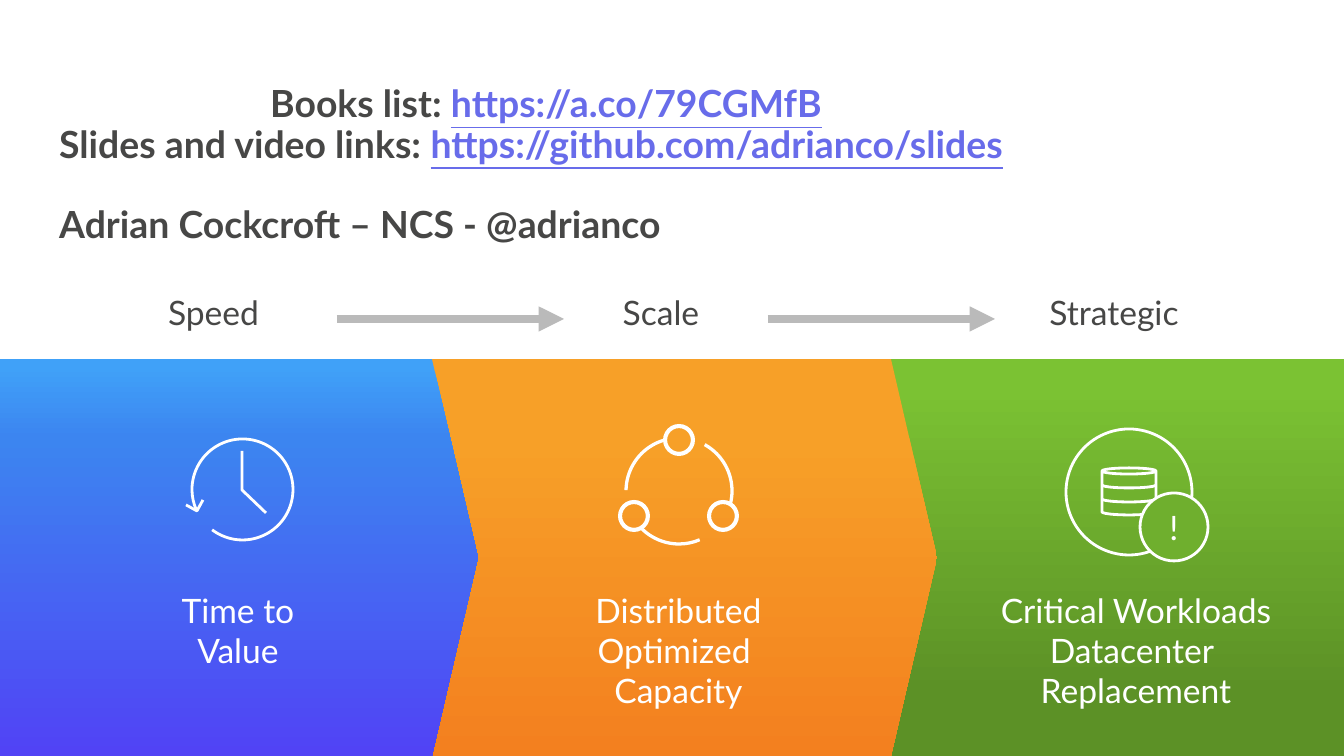
from dataclasses import dataclass
from typing import NamedTuple

from lxml.etree import SubElement
from pptx import Presentation
from pptx.dml.color import RGBColor
from pptx.enum.shapes import MSO_CONNECTOR as Connector, MSO_SHAPE as Preset
from pptx.enum.text import MSO_ANCHOR as Anchor, PP_ALIGN as Align
from pptx.oxml.ns import qn
from pptx.util import Pt

SCALE = 914400 / 134.4  # EMU in one px


@dataclass(frozen=True)
class Theme:
    font: str = "Lato"
    ink: str = "474746"
    link: str = "686CEA"
    white: str = "FFFFFF"
    arrow: str = "BABABA"
    badge: str = "6FAF2E"
    heading: int = 20
    body: int = 18
    thin: float = 1.5
    medium: float = 1.75
    thick: float = 4.5
    tight: float = 0.9


THEME = Theme()


class Box(NamedTuple):
    left: int
    top: int
    width: int
    height: int


class Span(NamedTuple):
    text: str
    link: bool = False


class HeadingLine(NamedTuple):
    spans: tuple[Span, ...]
    indent: int = 0
    space_before: float = 0


class Panel(NamedTuple):
    preset: Preset
    box: Box
    stops: tuple[tuple[int, str], ...]


class Caption(NamedTuple):
    box: Box
    lines: tuple[str, ...]
    color: str
    spacing: float = 1.0


class Arc(NamedTuple):
    """Part of the ellipse in a box; angles in degrees, clockwise from the right."""
    box: Box
    start: int
    end: int


HEADING = (
    HeadingLine((Span("Books list: "), Span("https://a.co/79CGMfB", True)), indent=211),
    HeadingLine((Span("Slides and video links: "),
                 Span("https://github.com/adrianco/slides", True))),
    HeadingLine((Span("Adrian Cockcroft – NCS - @adrianco"),), space_before=21.6),
)
STAGES = (
    Caption(Box(6, 290, 415, 69), ("Speed",), THEME.ink, THEME.tight),
    Caption(Box(440, 290, 442, 69), ("Scale",), THEME.ink, THEME.tight),
    Caption(Box(884, 290, 460, 69), ("Strategic",), THEME.ink, THEME.tight),
)
PANELS = (
    Panel(Preset.RECTANGLE, Box(882, 359, 462, 397), ((7, "7BC233"), (84, "5C9126"))),
    Panel(Preset.PENTAGON, Box(400, 359, 537, 397),
          ((2, "F7A028"), (20, "F7A028"), (100, "F3801F"))),
    Panel(Preset.PENTAGON, Box(0, 359, 478, 397),
          ((2, "40A1F8"), (20, "3C85F0"), (100, "5143F5"))),
)
GOALS = (
    Caption(Box(126, 583, 224, 124), ("Time to Value",), THEME.white),
    Caption(Box(513, 583, 331, 151), ("Distributed Optimized ", "Capacity"), THEME.white),
    Caption(Box(939, 583, 394, 151), ("Critical Workloads Datacenter ", "Replacement"),
            THEME.white),
)
ARROW_STARTS, ARROW_LENGTH, ARROW_Y = (337, 768), 227, 319


def emu(px: float) -> int:
    return round(px * SCALE)


def rgb(color: str) -> RGBColor:
    return RGBColor.from_string(color)


def add_span(para, text: str, size: int, color: str, bold=None, underline=None) -> None:
    font = (span := para.add_run()).font
    span.text = text
    font.name, font.size, font.bold, font.underline = THEME.font, Pt(size), bold, underline
    font.color.rgb = rgb(color)


def add_text_frame(page, box: Box):
    frame = page.shapes.add_textbox(*map(emu, box)).text_frame
    frame.word_wrap = True
    return frame


def draw_heading(page, box: Box, lines: tuple[HeadingLine, ...]) -> None:
    frame = add_text_frame(page, box)
    for index, line in enumerate(lines):
        para = frame.add_paragraph() if index else frame.paragraphs[0]
        para.line_spacing = THEME.tight
        if line.space_before:
            para.space_before = Pt(line.space_before)
        if line.indent:
            para._p.get_or_add_pPr().set("marL", str(emu(line.indent)))
        for span in line.spans:
            add_span(para, span.text, THEME.heading,
                     THEME.link if span.link else THEME.ink, True, span.link)


def draw_caption(page, caption: Caption) -> None:
    para = add_text_frame(page, caption.box).paragraphs[0]
    para.alignment, para.line_spacing = Align.CENTER, caption.spacing
    for index, line in enumerate(caption.lines):
        if index:
            para.add_line_break()
        add_span(para, line, THEME.body, caption.color)


def draw_panel(page, panel: Panel) -> None:
    shape = page.shapes.add_shape(panel.preset, *map(emu, panel.box))
    shape.shadow.inherit = False
    shape.line.fill.background()
    if panel.preset == Preset.PENTAGON:
        shape.adjustments[0] = 0.116
    shape.fill.gradient()
    shape.fill.gradient_angle = 270
    stop_list = shape._element.spPr.find(qn("a:gradFill")).find(qn("a:gsLst"))
    for stop in list(stop_list):
        stop_list.remove(stop)
    for percent, color in panel.stops:
        stop = SubElement(stop_list, qn("a:gs"), pos=str(percent * 1000))
        SubElement(stop, qn("a:srgbClr"), val=color)


def draw_arrow(page, left: int) -> None:
    arrow = page.shapes.add_connector(
        Connector.STRAIGHT, *map(emu, (left, ARROW_Y, left + ARROW_LENGTH, ARROW_Y)))
    arrow.line.color.rgb, arrow.line.width = rgb(THEME.arrow), Pt(THEME.thick)
    SubElement(arrow.line._get_or_add_ln(), qn("a:tailEnd"), type="triangle")
    SubElement(arrow._element.spPr, qn("a:effectLst"))


def outline(shape, width: float) -> None:
    shape.shadow.inherit = False
    shape.fill.background()
    shape.line.color.rgb, shape.line.width = rgb(THEME.white), Pt(width)


def draw_outline(icon, preset: Preset, box: Box, width: float = THEME.thin):
    shape = icon.shapes.add_shape(preset, *map(emu, box))
    outline(shape, width)
    return shape


def draw_arc(icon, arc: Arc, width: float = THEME.thin) -> None:
    shape = draw_outline(icon, Preset.ARC, arc.box, width)
    for index, angle in enumerate((arc.start, arc.end)):
        shape.adjustments[index] = angle * 0.6  # 60000ths of a degree, over 100000


def draw_stroke(icon, points: tuple[tuple[int, int], ...]) -> None:
    (left, top), *rest = [(emu(x), emu(y)) for x, y in points]
    builder = icon.shapes.build_freeform(left, top)
    builder.add_line_segments(rest, close=False)
    outline(builder.convert_to_shape(), THEME.thin)


def draw_clock(icon) -> None:
    draw_arc(icon, Arc(Box(192, 439, 101, 101), 127, 156))
    # The arc runs clockwise, so the gap of the dial is left open below.


def draw_clock_icon(icon) -> None:
    draw_arc(icon, Arc(Box(192, 439, 101, 101), 156, 127))
    draw_stroke(icon, ((242, 451), (242, 490), (266, 513)))
    draw_stroke(icon, ((203, 500), (197, 511), (186, 505)))


def draw_network_icon(icon) -> None:
    for left, top in ((618, 500), (663, 424), (707, 500)):
        node = icon.shapes.add_shape(Preset.DONUT, *map(emu, (left, top, 32, 32)))
        node.adjustments[0] = 0.13
        node.shadow.inherit = False
        node.fill.solid()
        node.fill.fore_color.rgb = rgb(THEME.white)
        node.line.fill.background()
    for start, end in ((67, 135), (299, 14), (181, 253)):
        draw_arc(icon, Arc(Box(626, 438, 106, 106), start, end), THEME.medium)


def draw_database_icon(icon) -> None:
    can = draw_outline(icon, Preset.CAN, Box(1102, 468, 54, 47))
    can.adjustments[0] = 0.13
    for top in (482, 496):
        draw_arc(icon, Arc(Box(1102, top, 54, 6), 0, 180))
    draw_outline(icon, Preset.OVAL, Box(1066, 429, 126, 126))
    badge = draw_outline(icon, Preset.OVAL, Box(1140, 493, 68, 68))
    badge.fill.solid()
    badge.fill.fore_color.rgb = rgb(THEME.badge)
    badge.text_frame.vertical_anchor = Anchor.MIDDLE
    para = badge.text_frame.paragraphs[0]
    para.alignment = Align.CENTER
    add_span(para, "!", THEME.body, THEME.white)


def main() -> None:
    deck = Presentation()
    deck.slide_width, deck.slide_height = emu(1344), emu(756)
    page = deck.slides.add_slide(deck.slide_layouts[6])
    draw_heading(page, Box(46, 79, 1263, 198), HEADING)
    for panel in PANELS:
        draw_panel(page, panel)
    for left in ARROW_STARTS:
        draw_arrow(page, left)
    for draw_icon in (draw_clock_icon, draw_network_icon, draw_database_icon):
        draw_icon(page.shapes.add_group_shape())
    for caption in STAGES + GOALS:
        draw_caption(page, caption)
    deck.save("out.pptx")


if __name__ == "__main__":
    main()
